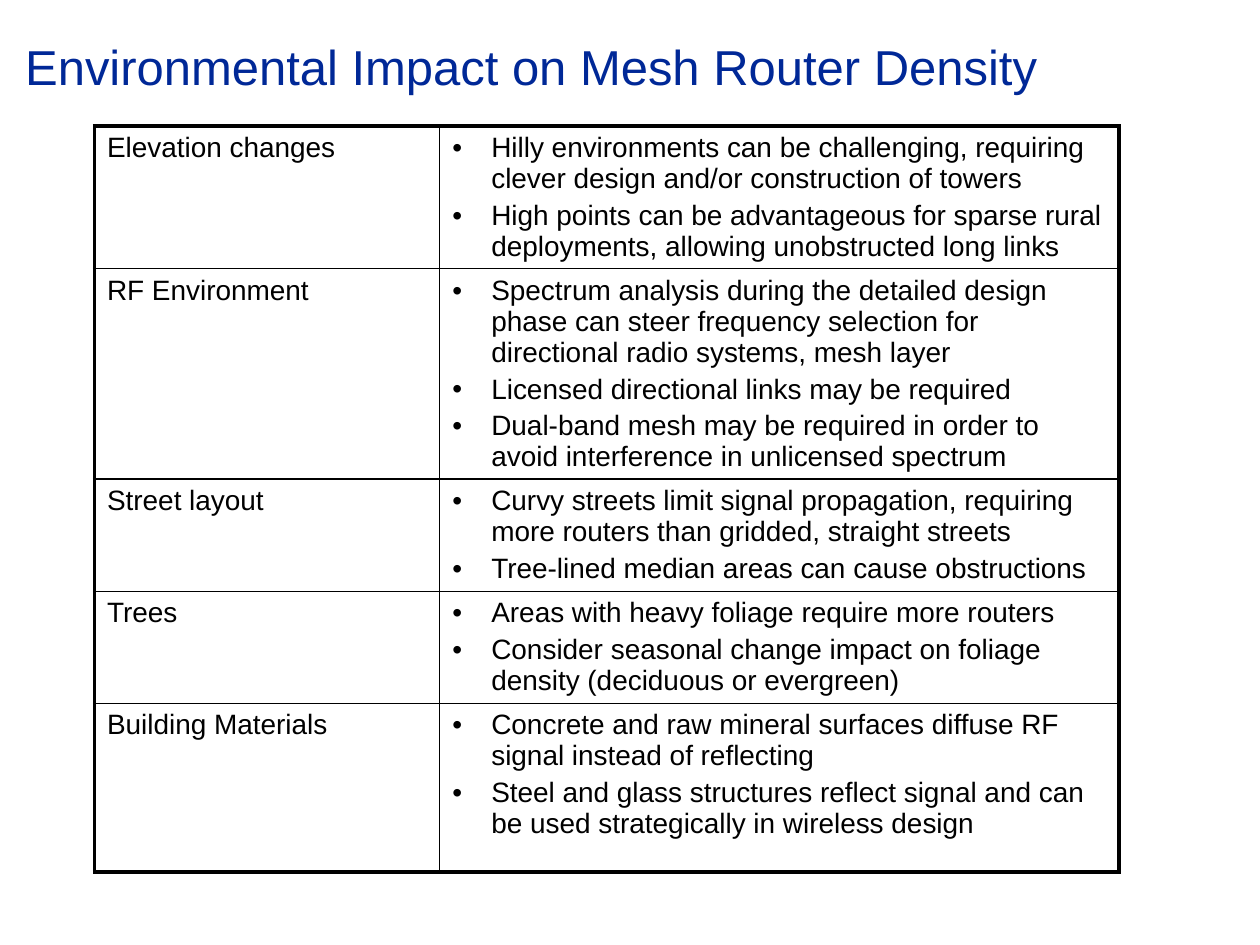
from lxml.etree import SubElement as Sub
from pptx import Presentation
from pptx.dml.color import RGBColor as RGB
from pptx.enum.text import MSO_ANCHOR as Anchor, MSO_AUTO_SIZE as Fit, PP_ALIGN as Align
from pptx.oxml import parse_xml
from pptx.oxml.ns import nsdecls, qn
from pptx.util import Inches, Pt

TITLE = "Environmental Impact on Mesh Router Density"
ROWS = [
    ("Elevation changes", 1.13, [
        "Hilly environments can be challenging, requiring clever design and/or construction of towers",
        "High points can be advantageous for sparse rural deployments, allowing unobstructed long links",
    ]),
    ("RF Environment", 1.67, [
        "Spectrum analysis during the detailed design phase can steer frequency selection for "
        "directional radio systems, mesh layer",
        "Licensed directional links may be required",
        "Dual-band mesh may be required in order to avoid interference in unlicensed spectrum",
    ]),
    ("Street layout", 0.89, [
        "Curvy streets limit signal propagation, requiring more routers than gridded, straight streets",
        "Tree-lined median areas can cause obstructions",
    ]),
    ("Trees", 0.89, [
        "Areas with heavy foliage require more routers",
        "Consider seasonal change impact on foliage density (deciduous or evergreen)",
    ]),
    ("Building Materials", 1.34, [
        "Concrete and raw mineral surfaces diffuse RF signal instead of reflecting",
        "Steel and glass structures reflect signal and can be used strategically in wireless design",
    ]),
]
COLS = [2.74, 5.39]
COLORS = {"title": "002897", "ink": "000000"}
FONT = "Arial"
THIN, THICK = 1, 2.25
INDENT = Inches(0.31)


def add_run(para, text, size, color):
    run = para.add_run()
    run.text = text
    run.font.name = FONT
    run.font.size = Pt(size)
    run.font.color.rgb = RGB.from_string(COLORS[color])


def add_bullet(para):
    props = para._p.get_or_add_pPr()
    props.set("marL", str(INDENT))
    props.set("indent", str(-INDENT))
    Sub(props, qn("a:buFont"), typeface=FONT)
    Sub(props, qn("a:buChar"), char="•")


def fill_cell(cell, lines, bullet):
    frame = cell.text_frame
    for i, line in enumerate(lines):
        para = frame.add_paragraph() if i else frame.paragraphs[0]
        para.space_before = Pt(3.2)
        if bullet:
            add_bullet(para)
        add_run(para, line, 16, "ink")


def set_edges(cell, edges):
    """Draw the cell's borders; edges maps each side to True if on the table's rim."""
    cell.fill.background()
    props = cell._tc.get_or_add_tcPr()
    for i, (side, rim) in enumerate(edges.items()):
        width = Pt(THICK if rim else THIN)
        props.insert(i, parse_xml(
            f'<a:ln{side} {nsdecls("a")} w="{width}"><a:solidFill>'
            f'<a:srgbClr val="{COLORS["ink"]}"/></a:solidFill></a:ln{side}>'))


def add_title(slide):
    title = slide.shapes.title
    title.left, title.top = Inches(0), Inches(0)
    title.width, title.height = Inches(10), Inches(1.27)
    frame = title.text_frame
    frame.auto_size = Fit.NONE
    frame.word_wrap = True
    frame.vertical_anchor = Anchor.TOP
    frame.margin_left, frame.margin_top = Inches(0.2), Inches(0.34)
    frame.margin_right, frame.margin_bottom = Inches(0.24), Inches(0)
    para = frame.paragraphs[0]
    para.alignment = Align.LEFT
    para.line_spacing = 0.9
    add_run(para, TITLE, 28, "title")


def add_grid(slide):
    high = sum(row[1] for row in ROWS)
    table = slide.shapes.add_table(
        len(ROWS), len(COLS), Inches(0.75), Inches(1),
        Inches(sum(COLS)), Inches(high)).table
    table.first_row = table.horz_banding = False
    for col, width in zip(table.columns, COLS):
        col.width = Inches(width)
    for r, (topic, height, points) in enumerate(ROWS):
        table.rows[r].height = Inches(height)
        for c, lines in enumerate(([topic], points)):
            cell = table.cell(r, c)
            fill_cell(cell, lines, bullet=c == 1)
            set_edges(cell, {"L": c == 0, "R": c == len(COLS) - 1,
                             "T": r == 0, "B": r == len(ROWS) - 1})


def main():
    deck = Presentation()
    deck.slide_width, deck.slide_height = Inches(10), Inches(7.5)
    slide = deck.slides.add_slide(deck.slide_layouts.get_by_name("Title Only"))
    add_title(slide)
    add_grid(slide)
    deck.save("out.pptx")


if __name__ == "__main__":
    main()
